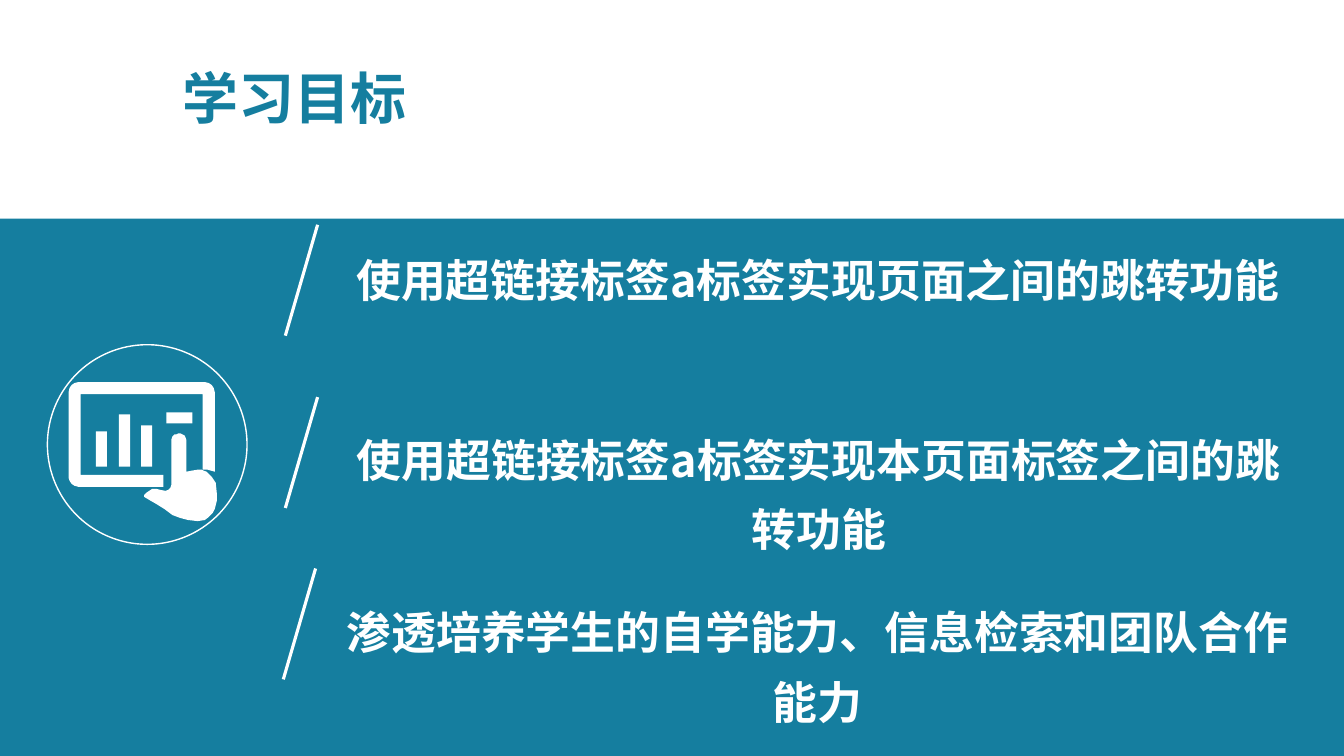
from dataclasses import dataclass

from lxml.etree import SubElement
from pptx import Presentation
from pptx.dml.color import RGBColor
from pptx.enum.shapes import MSO_CONNECTOR as Connector, MSO_SHAPE as Preset
from pptx.enum.text import MSO_AUTO_SIZE as AutoSize, PP_ALIGN as Align
from pptx.oxml.ns import qn
from pptx.shapes.base import BaseShape
from pptx.slide import Slide
from pptx.util import Pt

PX = 9144  # 100 px to the inch
FONT = "Noto Sans CJK SC"
COLORS = {"teal": "157E9F", "white": "FFFFFF"}


@dataclass(frozen=True)
class Area:
    left: int
    top: int
    width: int
    height: int

    def emu(self) -> tuple[int, ...]:
        return tuple(n * PX for n in (self.left, self.top, self.width, self.height))


@dataclass(frozen=True)
class Label:
    text: str
    area: Area
    size: int
    color: str
    align: Align
    spacing: float


@dataclass(frozen=True)
class Goal:
    label: Label
    slash_left: int
    slash_top: int


def goal(text: str, area: Area, slash_left: int, slash_top: int) -> Goal:
    return Goal(Label(text, area, 32, "white", Align.CENTER, 1.3), slash_left, slash_top)


TITLE = Label("学习目标", Area(171, 66, 349, 86), 40, "teal", Align.LEFT, 0.9)
GOALS = [
    goal("使用超链接标签a标签实现页面之间的跳转功能", Area(322, 230, 979, 80), 283, 223),
    goal("使用超链接标签a标签实现本页面标签之间的跳转功能", Area(323, 408, 978, 150), 283, 394),
    goal("渗透培养学生的自学能力、信息检索和团队合作能力", Area(322, 579, 978, 150), 281, 564),
]
SLASH_WIDTH, SLASH_HEIGHT = 32, 110

BAND = Area(0, 217, 1333, 533)
RING = Area(47, 342, 198, 198)
SCREEN_BARS = [
    Area(95, 428, 11, 35),
    Area(118, 411, 11, 52),
    Area(140, 422, 11, 41),
    Area(165, 409, 26, 11),
]
TABLET = [
    (162, 483), (162, 471), (80, 471), (80, 391), (201, 391), (201, 466),
    (206, 466), (213, 468), (213, 389), (212, 385), (210, 382), (207, 380),
    (203, 379), (78, 379), (74, 380), (71, 382), (69, 385), (68, 389),
    (68, 474), (69, 477), (71, 480), (74, 482), (78, 483),
]
HAND = [
    (205, 468), (202, 467), (200, 466), (196, 466), (190, 467), (185, 468),
    (185, 437), (184, 434), (183, 432), (181, 431), (179, 430), (177, 430),
    (175, 431), (173, 431), (171, 433), (170, 436), (170, 481), (169, 484),
    (167, 486), (164, 487), (159, 486), (155, 485), (151, 485), (148, 487),
    (145, 489), (143, 491), (143, 493), (148, 496), (155, 500), (163, 505),
    (171, 511), (179, 514), (187, 516), (196, 517), (203, 516), (207, 513),
    (211, 509), (213, 505), (215, 497), (215, 489), (214, 479), (210, 473),
]


def rgb(color: str) -> RGBColor:
    return RGBColor.from_string(COLORS[color])


def paint(shape: BaseShape, color: str) -> None:
    """Give a flat fill with no outline or shadow."""
    shape.shadow.inherit = False
    shape.fill.solid()
    shape.fill.fore_color.rgb = rgb(color)
    shape.line.fill.background()


def add_block(page: Slide, area: Area, color: str) -> None:
    paint(page.shapes.add_shape(Preset.RECTANGLE, *area.emu()), color)


def add_outline(page: Slide, points: list[tuple[int, int]], color: str) -> None:
    builder = page.shapes.build_freeform(*points[0], scale=PX)
    builder.add_line_segments(points[1:], close=True)
    paint(builder.convert_to_shape(), color)


def add_ring(page: Slide, area: Area) -> None:
    ring = page.shapes.add_shape(Preset.OVAL, *area.emu())
    ring.shadow.inherit = False
    ring.fill.background()
    ring.line.color.rgb = rgb("white")
    ring.line.width = Pt(1)


def add_slash(page: Slide, left: int, top: int) -> None:
    ends = (left + SLASH_WIDTH, top, left, top + SLASH_HEIGHT)
    slash = page.shapes.add_connector(Connector.STRAIGHT, *(n * PX for n in ends))
    slash.line.color.rgb = rgb("white")
    slash.line.width = Pt(2.25)
    SubElement(slash._element.spPr, qn("a:effectLst"))


def add_label(page: Slide, label: Label) -> None:
    box = page.shapes.add_textbox(*label.area.emu())
    box.text_frame.word_wrap = True
    box.text_frame.auto_size = AutoSize.NONE
    para = box.text_frame.paragraphs[0]
    para.alignment = label.align
    para.line_spacing = label.spacing
    span = para.add_run()
    span.text = label.text
    span.font.size = Pt(label.size)
    span.font.bold = True
    span.font.color.rgb = rgb(label.color)
    span.font.name = FONT
    SubElement(span.font._element, qn("a:ea"), typeface=FONT)


def main() -> None:
    deck = Presentation()
    deck.slide_width, deck.slide_height = 1333 * PX, 750 * PX
    page = deck.slides.add_slide(deck.slide_layouts[6])

    add_block(page, BAND, "teal")
    add_label(page, TITLE)
    add_ring(page, RING)
    add_outline(page, TABLET, "white")
    for bar in SCREEN_BARS:
        add_block(page, bar, "white")
    add_outline(page, HAND, "white")
    for item in GOALS:
        add_slash(page, item.slash_left, item.slash_top)
        add_label(page, item.label)

    deck.save("out.pptx")


if __name__ == "__main__":
    main()
